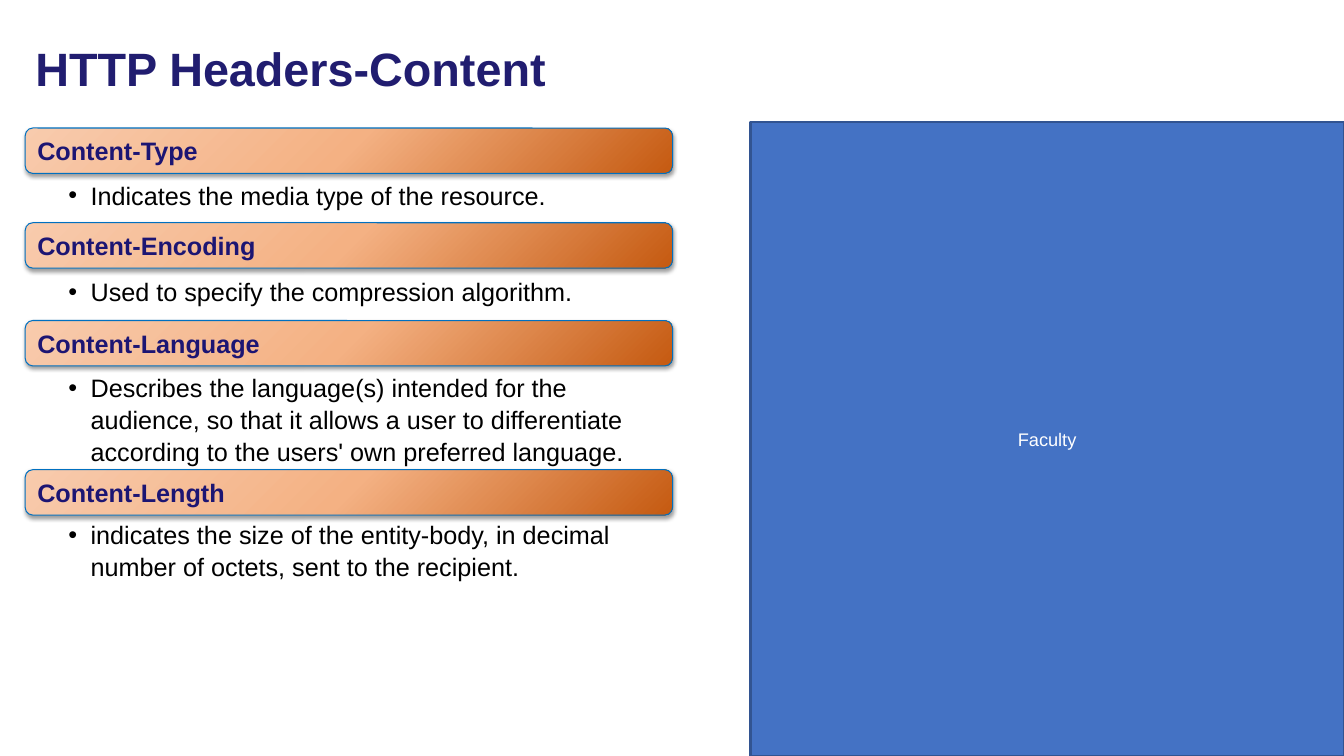
"""Build the HTTP content headers slide."""
import lxml.etree
import pptx
import pptx.dml.color
import pptx.enum.shapes
import pptx.enum.text
import pptx.oxml
import pptx.oxml.ns
import pptx.util

PX = 9144
LEFT, WIDTH, BAR_HEIGHT = 25, 642, 45
NAVY = "1C1573"
ALIGN = pptx.enum.text.PP_ALIGN
ANCHOR = pptx.enum.text.MSO_ANCHOR
SHAPE = pptx.enum.shapes.MSO_SHAPE
STOPS = [(0, "F8CBAD"), (50, "F4B183"), (100, "C55A11")]
NAMESPACE = pptx.oxml.ns.nsdecls("a")
SECTIONS = [
    (127, 177, "Content-Type", "Indicates the media type of the resource.", 1),
    (221, 273, "Content-Encoding", "Used to specify the compression algorithm.", 1),
    (318, 368, "Content-Language",
     "Describes the language(s) intended for the audience, so that it allows a user "
     "to differentiate according to the users' own preferred language.", 3),
    (466, 514, "Content-Length",
     "indicates the size of the entity-body, in decimal number of octets, "
     "sent to the recipient.", 2),
]


def px(length):
    """Turn px into EMU."""
    return pptx.util.Emu(length * PX)


def colour(value):
    """Turn a hex string into a colour."""
    return pptx.dml.color.RGBColor.from_string(value)


def apply(target, values):
    """Set each named value on the target."""
    for name, value in values.items():
        setattr(target, name, value)


def write(shape, text, size, ink, bold=False, align=ALIGN.LEFT, spacing=1.0, anchor=ANCHOR.MIDDLE):
    """Put one formatted paragraph in a shape and return it."""
    frame = shape.text_frame
    apply(frame, {"word_wrap": True, "vertical_anchor": anchor,
                  "auto_size": pptx.enum.text.MSO_AUTO_SIZE.NONE})
    para = frame.paragraphs[0]
    apply(para, {"alignment": align, "line_spacing": spacing})
    span = para.add_run()
    span.text = text
    apply(span.font, {"name": "Arial", "size": pptx.util.Pt(size), "bold": bold})
    span.font.color.rgb = colour(ink)
    return para


def add_box(page, kind, place, line, weight):
    """Add an outlined shape without a shadow."""
    box = page.shapes.add_shape(kind, *map(px, place))
    box.shadow.inherit = False
    box.line.color.rgb = colour(line)
    box.line.width = pptx.util.Pt(weight)
    return box


def add_title(page, text):
    """Place and format the title."""
    title = page.shapes.title
    apply(title, dict(zip(("left", "top", "width", "height"), map(px, (25, 25, 1181, 91)))))
    write(title, text, 33.4, "211D70", bold=True, spacing=0.9)


def add_panel(page, text):
    """Add the blue panel on the right."""
    panel = add_box(page, SHAPE.RECTANGLE, (744, 121, 589, 629), "325491", 2)
    panel.fill.solid()
    panel.fill.fore_color.rgb = colour("4472C4")
    write(panel, text, 13, "FFFFFF", align=ALIGN.CENTER)


def add_bar(page, top, text):
    """Add a heading bar with a gradient and a soft shadow."""
    bar = add_box(page, SHAPE.ROUNDED_RECTANGLE, (LEFT, top, WIDTH, BAR_HEIGHT), "0070C0", 0.75)
    stops = "".join(f'<a:gs pos="{place * 1000}"><a:srgbClr val="{tone}"/></a:gs>'
                    for place, tone in STOPS)
    gradient = pptx.oxml.parse_xml(
        f'<a:gradFill {NAMESPACE} rotWithShape="1"><a:gsLst>{stops}</a:gsLst>'
        '<a:lin ang="2700000" scaled="0"/></a:gradFill>')
    shadow = pptx.oxml.parse_xml(
        f'<a:outerShdw {NAMESPACE} blurRad="40000" dist="20000" dir="5400000" rotWithShape="0">'
        '<a:srgbClr val="000000"><a:alpha val="38000"/></a:srgbClr></a:outerShdw>')
    properties = bar.element.spPr
    properties.find(pptx.oxml.ns.qn("a:prstGeom")).addnext(gradient)
    properties.find(pptx.oxml.ns.qn("a:effectLst")).append(shadow)
    write(bar, text, 18, NAVY, bold=True)


def add_bullet(page, top, text, lines):
    """Add a bulleted description."""
    box = page.shapes.add_textbox(*map(px, (LEFT, top, WIDTH, 30 * lines)))
    apply(box.text_frame, {"margin_top": 0, "margin_bottom": 0})
    para = write(box, text, 18, "000000", spacing=1.05, anchor=ANCHOR.TOP)
    properties = para._p.get_or_add_pPr()
    properties.set("marL", str(px(55)))
    properties.set("indent", str(px(-22)))
    font = lxml.etree.SubElement(properties, pptx.oxml.ns.qn("a:buFont"))
    font.set("typeface", "Arial")
    bullet = lxml.etree.SubElement(properties, pptx.oxml.ns.qn("a:buChar"))
    bullet.set("char", "•")


def main():
    """Build and save the deck."""
    deck = pptx.Presentation()
    apply(deck, {"slide_width": px(1333), "slide_height": px(750)})
    page = deck.slides.add_slide(deck.slide_layouts[5])
    add_panel(page, "Faculty")
    add_title(page, "HTTP Headers-Content")
    for bar_top, text_top, heading, description, lines in SECTIONS:
        add_bar(page, bar_top, heading)
        add_bullet(page, text_top, description, lines)
    deck.save("out.pptx")


if __name__ == "__main__":
    main()
